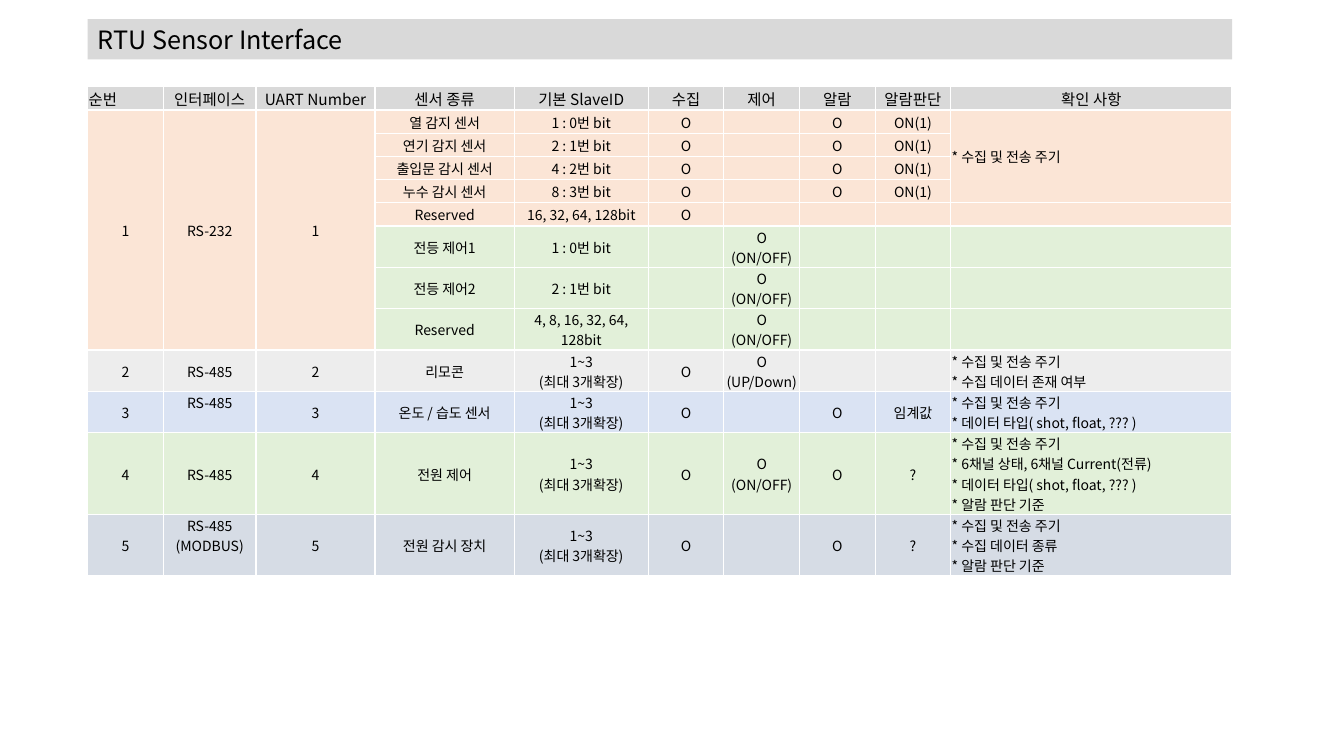
from lxml.etree import SubElement
from pptx import Presentation
from pptx.dml.color import RGBColor
from pptx.enum.text import MSO_ANCHOR, MSO_AUTO_SIZE, PP_ALIGN
from pptx.oxml.ns import qn
from pptx.util import Inches, Pt

# Content
TITLE = "RTU Sensor Interface"
FONT = "Noto Sans CJK KR"
GREY, PEACH, GREEN = "D9D9D9", "FBE5D6", "E2F0D9"
SILVER, BLUE, SLATE = "EDEDED", "DAE3F3", "D6DCE5"
BLACK, WHITE = "000000", "FFFFFF"

HEADER = ["순번", "인터페이스", "UART Number", "센서 종류", "기본 SlaveID",
          "수집", "제어", "알람", "알람판단", "확인 사항"]
PERIOD = "* 수집 및 전송 주기"
TYPES = "* 데이터 타입( shot, float, ??? )"
CRITERIA = "* 알람 판단 기준"
SLAVES = "1~3\n(최대 3개확장)"
SWITCH = "O\n(ON/OFF)"
MERGED = ["", "", ""]

# Fill, row height, cells
ROWS = [
    (GREY, 0.23, HEADER),
    (PEACH, 0.23, ["1", "RS-232", "1", "열 감지 센서", "1 : 0번 bit", "O", "", "O", "ON(1)", PERIOD]),
    (PEACH, 0.23, MERGED + ["연기 감지 센서", "2 : 1번 bit", "O", "", "O", "ON(1)", ""]),
    (PEACH, 0.23, MERGED + ["출입문 감시 센서", "4 : 2번 bit", "O", "", "O", "ON(1)", ""]),
    (PEACH, 0.23, MERGED + ["누수 감시 센서", "8 : 3번 bit", "O", "", "O", "ON(1)", ""]),
    (PEACH, 0.23, MERGED + ["Reserved", "16, 32, 64, 128bit", "O", "", "", "", ""]),
    (GREEN, 0.38, MERGED + ["전등 제어1", "1 : 0번 bit", "", SWITCH, "", "", ""]),
    (GREEN, 0.38, MERGED + ["전등 제어2", "2 : 1번 bit", "", SWITCH, "", "", ""]),
    (GREEN, 0.38, MERGED + ["Reserved", "4, 8, 16, 32, 64, 128bit", "", SWITCH, "", "", ""]),
    (SILVER, 0.38, ["2", "RS-485", "2", "리모콘", SLAVES, "O", "O\n(UP/Down)", "", "",
                    PERIOD + "\n* 수집 데이터 존재 여부"]),
    (BLUE, 0.38, ["3", "RS-485", "3", "온도 / 습도 센서", SLAVES, "O", "", "O", "임계값",
                  PERIOD + "\n" + TYPES]),
    (GREEN, 0.75, ["4", "RS-485", "4", "전원 제어", SLAVES, "O", SWITCH, "O", "?",
                   "\n".join([PERIOD, "* 6채널 상태, 6채널 Current(전류)", TYPES, CRITERIA])]),
    (SLATE, 0.56, ["5", "RS-485\n(MODBUS)", "5", "전원 감시 장치", SLAVES, "O", "", "O", "?",
                   "\n".join([PERIOD, "* 수집 데이터 종류", CRITERIA])]),
]
COL_WIDTHS = [0.75, 0.92, 1.18, 1.38, 1.33, 0.75, 0.75, 0.75, 0.75, 2.79]
SPANS = [(1, 0, 8), (1, 1, 8), (1, 2, 8), (1, 9, 4)]  # row, column, rows covered
TOP_CELLS = {(10, 1), (12, 1)}
LEFT, WIDTH = 0.87, 11.35


def color(value):
    return RGBColor.from_string(value)


def set_fill(part, value):
    part.fill.solid()
    part.fill.fore_color.rgb = color(value)


def set_text(p, text, size, align):
    p.text = text
    p.alignment = align
    for r in p.runs:
        r.font.size = Pt(size)
        r.font.name = FONT
        r.font.color.rgb = color(BLACK)
        SubElement(r.font._element, qn("a:ea"), typeface=FONT)
    # Line breaks and empty cells keep the text size too
    for br in p._p.findall(qn("a:br")):
        SubElement(br, qn("a:rPr"), sz=str(size * 100))
    if not text:
        SubElement(p._p, qn("a:endParaRPr"), sz=str(size * 100))


def set_borders(cell):
    tcPr = cell._tc.get_or_add_tcPr()
    for i, side in enumerate(("lnL", "lnR", "lnT", "lnB")):
        ln = tcPr.makeelement(qn("a:" + side), {"w": str(Pt(1))})
        SubElement(SubElement(ln, qn("a:solidFill")), qn("a:srgbClr"), val=WHITE)
        tcPr.insert(i, ln)


prs = Presentation()
prs.slide_width, prs.slide_height = Inches(13.33), Inches(7.5)
s = prs.slides.add_slide(prs.slide_layouts[5])

# Title bar
title = s.shapes.title
title.left, title.top = Inches(LEFT), Inches(0.19)
title.width, title.height = Inches(WIDTH), Inches(0.4)
set_fill(title, GREY)
tf = title.text_frame
tf.auto_size = MSO_AUTO_SIZE.NONE
tf.vertical_anchor = MSO_ANCHOR.MIDDLE
set_text(tf.paragraphs[0], TITLE, 18, PP_ALIGN.LEFT)

# Sensor table
height = sum(h for _, h, _ in ROWS)
table = s.shapes.add_table(len(ROWS), len(COL_WIDTHS), Inches(LEFT), Inches(0.86),
                           Inches(WIDTH), Inches(height)).table
for column, width in zip(table.columns, COL_WIDTHS):
    column.width = Inches(width)

for i, (fill, row_height, texts) in enumerate(ROWS):
    table.rows[i].height = Inches(row_height)
    for j, text in enumerate(texts):
        cell = table.cell(i, j)
        cell.margin_left = cell.margin_right = cell.margin_top = Inches(0.01)
        cell.margin_bottom = 0
        cell.vertical_anchor = MSO_ANCHOR.TOP if (i, j) in TOP_CELLS else MSO_ANCHOR.MIDDLE
        set_fill(cell, fill)
        set_borders(cell)
        is_left = (i, j) == (0, 0) or (i > 0 and j == len(HEADER) - 1)
        set_text(cell.text_frame.paragraphs[0], text, 10 if i else 11,
                 PP_ALIGN.LEFT if is_left else PP_ALIGN.CENTER)

for row, col, count in SPANS:
    table.cell(row, col).merge(table.cell(row + count - 1, col))

prs.save("out.pptx")
